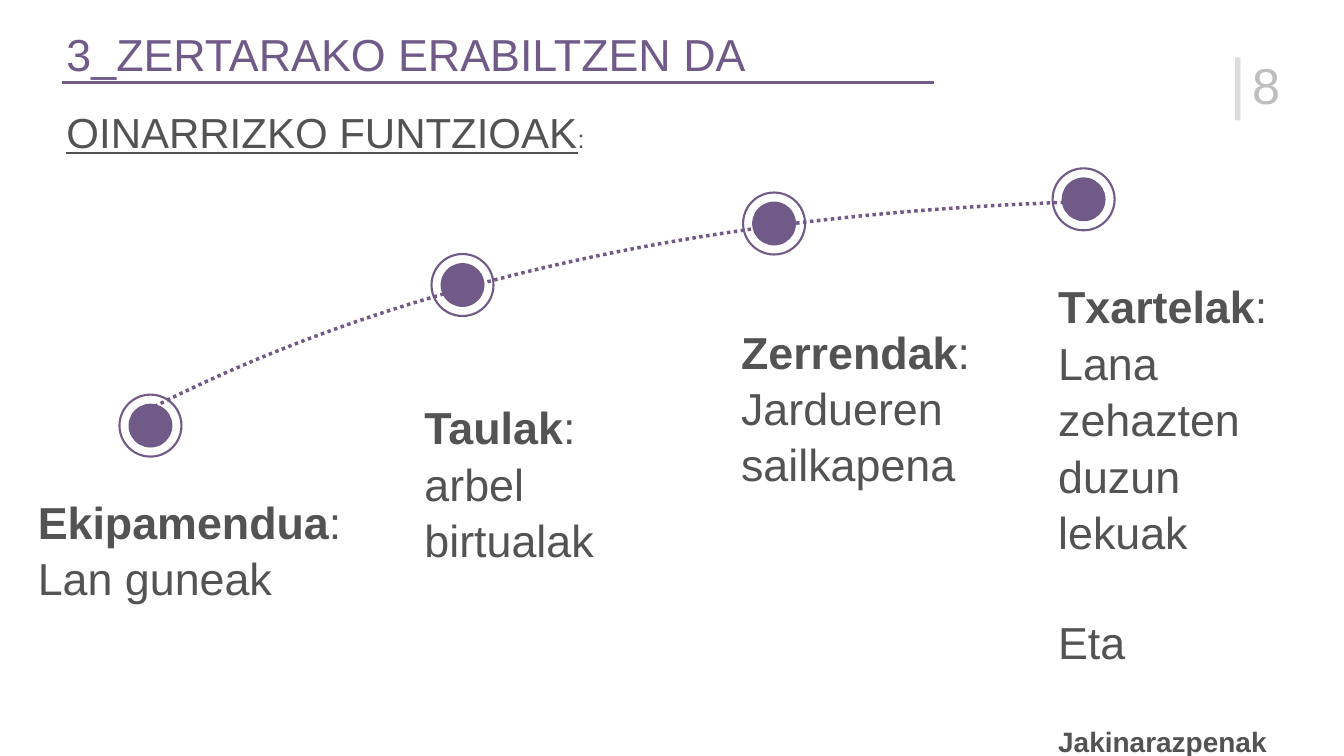
from typing import NamedTuple

from lxml import etree
from pptx import Presentation
from pptx.dml.color import RGBColor
from pptx.enum.dml import MSO_LINE
from pptx.enum.shapes import MSO_CONNECTOR, MSO_SHAPE
from pptx.enum.text import MSO_ANCHOR
from pptx.oxml.ns import qn
from pptx.util import Inches, Pt

PURPLE = RGBColor(0x70, 0x5A, 0x88)
TEXT = RGBColor(0x53, 0x53, 0x53)
BAR = RGBColor(0xDD, 0xDD, 0xDD)
NUMBER = RGBColor(0xBE, 0xBE, 0xBE)
WHITE = RGBColor(0xFF, 0xFF, 0xFF)

FONT = "Arial"
LINE_SPACING = 1.05
BODY_SIZE = 64
BLANK_LINE = 77
RING, DOT = 1.23, 0.87


class Span(NamedTuple):
    text: str
    size: float = BODY_SIZE
    color: RGBColor = TEXT
    bold: bool = False
    underline: bool = False


class Area(NamedTuple):
    left: float
    top: float
    width: float
    height: float

    def lengths(self) -> list:
        return [Inches(value) for value in self]


class Stage(NamedTuple):
    name: str
    detail: str
    area: Area
    ring_left: float
    ring_top: float
    extra: tuple = ()


STAGES = [
    Stage("Ekipamendua", ": Lan guneak", Area(0.62, 9.63, 6.32, 4.2), 2.37, 7.83),
    Stage("Taulak", ": arbel birtualak", Area(8.29, 7.75, 4.94, 5.61), 8.56, 5.04),
    Stage("Zerrendak", ": Jardueren sailkapena", Area(14.57, 6.25, 4.94, 5.61), 14.74, 3.82),
    Stage("Txartelak", ": Lana zehazten duzun lekuak", Area(20.86, 5.35, 4.94, 5.61), 20.88, 3.34,
          ([Span("Eta")], [Span("Jakinarazpenak", 40, bold=True)])),
]
CURVE = [(2.94, 8.13), (7.89, 5.59), (14.11, 4.21), (21.61, 4)]


def add_text(page, area: Area, paragraphs: list, inset: float = 0.1,
             top_inset: float | None = None, anchor=MSO_ANCHOR.TOP, wrap: bool = True) -> None:
    """Add a text box; paragraphs after the first follow a line-high gap."""
    frame = page.shapes.add_textbox(*area.lengths()).text_frame
    frame.word_wrap = wrap
    frame.vertical_anchor = anchor
    frame.margin_left = frame.margin_right = frame.margin_bottom = Inches(inset)
    frame.margin_top = Inches(inset if top_inset is None else top_inset)
    for index, spans in enumerate(paragraphs):
        para = frame.add_paragraph() if index else frame.paragraphs[0]
        para.line_spacing = LINE_SPACING
        if index:
            para.space_before = Pt(BLANK_LINE)
        for span in spans:
            run = para.add_run()
            run.text = span.text
            run.font.name = FONT
            run.font.size = Pt(span.size)
            run.font.color.rgb = span.color
            run.font.bold = span.bold
            run.font.underline = span.underline


def add_circle(page, left: float, top: float, size: float, fill: RGBColor, outlined: bool) -> None:
    circle = page.shapes.add_shape(MSO_SHAPE.OVAL, *Area(left, top, size, size).lengths())
    circle.shadow.inherit = False
    circle.fill.solid()
    circle.fill.fore_color.rgb = fill
    if outlined:
        circle.line.color.rgb = PURPLE
        circle.line.width = Pt(3)
    else:
        circle.line.fill.background()


def add_stage(page, stage: Stage) -> None:
    heading = [Span(stage.name, bold=True), Span(stage.detail)]
    add_text(page, stage.area, [heading, *stage.extra], inset=0.13)
    offset = (RING - DOT) / 2
    add_circle(page, stage.ring_left, stage.ring_top, RING, WHITE, True)
    add_circle(page, stage.ring_left + offset, stage.ring_top + offset, DOT, PURPLE, False)


def add_dotted_curve(page, points: list) -> None:
    """Draw one cubic curve through a start, two control points and an end."""
    start, *others = [(Inches(x), Inches(y)) for x, y in points]
    builder = page.shapes.build_freeform(*start)
    builder.add_line_segments(others, close=False)
    curve = builder.convert_to_shape()
    curve.shadow.inherit = False
    curve.fill.background()
    curve.line.color.rgb = PURPLE
    curve.line.width = Pt(5)
    curve.line.dash_style = MSO_LINE.ROUND_DOT
    outline = next(curve.element.iter(qn("a:path")))
    bezier = etree.SubElement(outline, qn("a:cubicBezTo"))
    for segment in outline.findall(qn("a:lnTo")):
        bezier.append(segment[0])
        outline.remove(segment)


def add_rule(page, left: float, right: float, top: float) -> None:
    rule = page.shapes.add_connector(
        MSO_CONNECTOR.STRAIGHT, Inches(left), Inches(top), Inches(right), Inches(top))
    rule.line.color.rgb = PURPLE
    rule.line.width = Pt(4)
    etree.SubElement(rule.element.spPr, qn("a:effectLst"))


def main() -> None:
    deck = Presentation()
    deck.slide_width, deck.slide_height = Inches(26.66), Inches(15)
    page = deck.slides.add_slide(deck.slide_layouts[6])

    add_rule(page, 1.23, 18.52, 1.64)
    add_text(page, Area(24.3, 0.7, 0.94, 1.69), [[Span("|", 96, BAR)]],
             anchor=MSO_ANCHOR.MIDDLE, wrap=False)
    add_text(page, Area(24.74, 0.98, 0.77, 1.31), [[Span("8", 72, NUMBER)]],
             anchor=MSO_ANCHOR.MIDDLE, wrap=False)
    for stage in STAGES:
        add_stage(page, stage)
    add_text(page, Area(1.22, 1.74, 15.72, 0.77),
             [[Span("OINARRIZKO FUNTZIOAK", 60, underline=True), Span(":", 36)]], top_inset=0.33)
    add_text(page, Area(1.22, 0.38, 21.45, 1.2), [[Span("3_ZERTARAKO ERABILTZEN DA", 64, PURPLE)]])
    add_dotted_curve(page, CURVE)

    deck.save("out.pptx")


if __name__ == "__main__":
    main()
